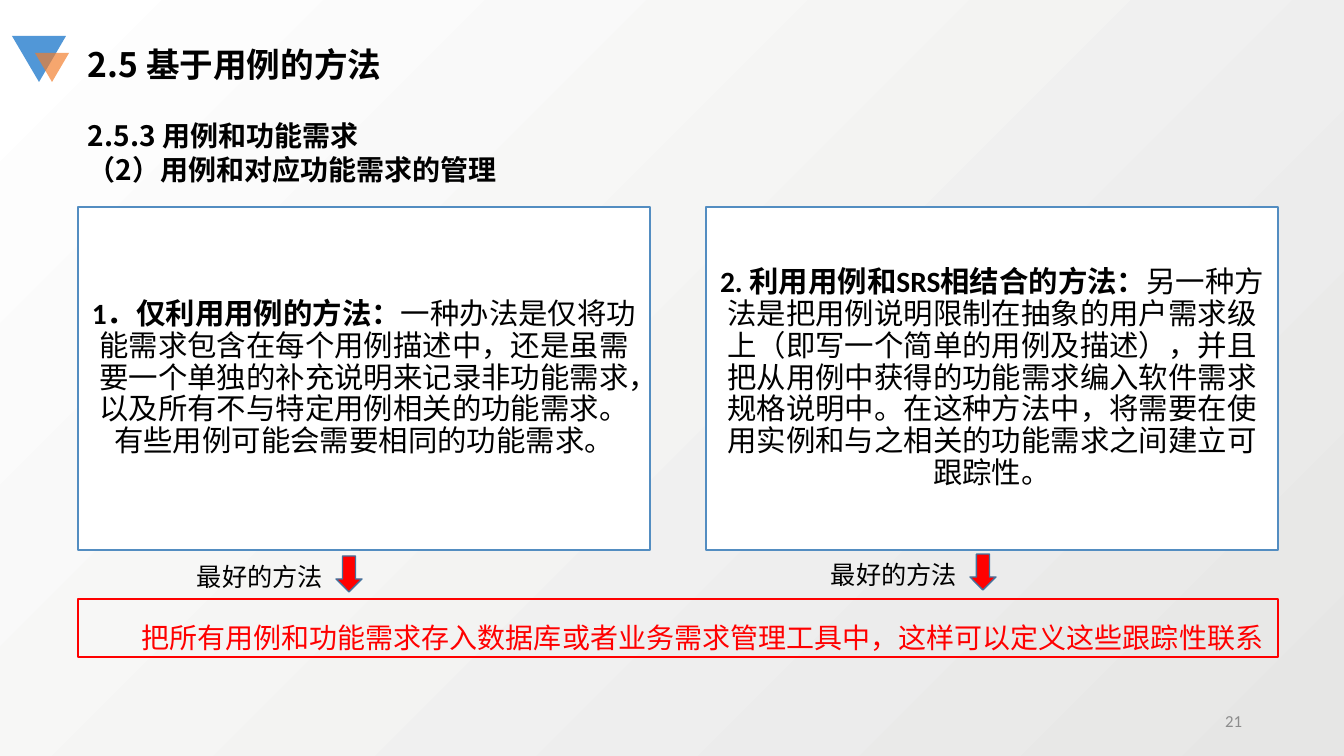
from lxml import etree
from pptx import Presentation
from pptx.dml.color import RGBColor
from pptx.enum.shapes import MSO_SHAPE
from pptx.enum.text import MSO_ANCHOR, PP_ALIGN
from pptx.oxml.ns import qn
from pptx.util import Inches, Pt

SCALE = Inches(1) / 100.8
CJK = "Noto Sans CJK SC"
TITLE = "2.5 基于用例的方法"
SUBTITLE = ["2.5.3 用例和功能需求", "（2）用例和对应功能需求的管理"]
METHODS = [
    ("1．仅利用用例的方法：",
     "一种办法是仅将功能需求包含在每个用例描述中，还是虽需要一个单独的补充说明来记录非功能需求，"
     "以及所有不与特定用例相关的功能需求。有些用例可能会需要相同的功能需求。"),
    ("2. 利用用例和SRS相结合的方法：",
     "另一种方法是把用例说明限制在抽象的用户需求级上（即写一个简单的用例及描述），"
     "并且把从用例中获得的功能需求编入软件需求规格说明中。"
     "在这种方法中，将需要在使用实例和与之相关的功能需求之间建立可跟踪性。"),
]
ARROWS = [(336, 556), (970, 554)]
ARROW_LABEL = "最好的方法"
CONCLUSION = "把所有用例和功能需求存入数据库或者业务需求管理工具中，这样可以定义这些跟踪性联系"
PAGE_NUMBER = "21"
TRIANGLES = [((12, 36, 54, 46), "5197D7", 100), ((35, 53, 34, 29), "F37D2A", 68)]

LEFT = 78
CARD_TOP, CARD_WIDTH, CARD_HEIGHT, CARD_GAP = 207, 572, 343, 56
LABEL_WIDTH = 149


def color(value):
    return RGBColor.from_string(value)


def emu(*lengths):
    return [round(length * SCALE) for length in lengths]


def style(span, size, font, ink, bold=False):
    span.font.size = Pt(size)
    span.font.name = font
    span.font.bold = bold
    span.font.color.rgb = color(ink)
    east_asian = etree.SubElement(span.font._element, qn("a:ea"))
    east_asian.set("typeface", CJK)


def add_text(page, place, lines, size, font, ink="000000", bold=False,
             align=PP_ALIGN.LEFT, anchor=MSO_ANCHOR.TOP, spacing=None):
    frame = page.shapes.add_textbox(*emu(*place)).text_frame
    frame.word_wrap = True
    frame.vertical_anchor = anchor
    frame.text = "\n".join(lines)
    for para in frame.paragraphs:
        para.alignment = align
        para.line_spacing = spacing
        for span in para.runs:
            style(span, size, font, ink, bold)


def add_figure(page, kind, place, fill=None, line=None, width=1):
    shape = page.shapes.add_shape(kind, *emu(*place))
    shape.shadow.inherit = False
    if fill:
        shape.fill.solid()
        shape.fill.fore_color.rgb = color(fill)
    else:
        shape.fill.background()
    if line:
        shape.line.color.rgb = color(line)
        shape.line.width = Pt(width)
    else:
        shape.line.fill.background()
    return shape


def add_triangle(page, place, fill, opacity):
    triangle = add_figure(page, MSO_SHAPE.ISOSCELES_TRIANGLE, place, fill)
    triangle.rotation = 180
    if opacity < 100:
        tone = triangle._element.spPr.find(qn("a:solidFill"))[0]
        etree.SubElement(tone, qn("a:alpha")).set("val", str(opacity * 1000))


def add_card(page, left, heading, body):
    place = (left, CARD_TOP, CARD_WIDTH, CARD_HEIGHT)
    card = add_figure(page, MSO_SHAPE.RECTANGLE, place, "FFFFFF", "538DC1", 1.5)
    frame = card.text_frame
    frame.word_wrap = True
    frame.vertical_anchor = MSO_ANCHOR.MIDDLE
    inset, = emu(9)
    frame.margin_left = frame.margin_right = inset
    frame.margin_top = frame.margin_bottom = inset
    para = frame.paragraphs[0]
    para.alignment = PP_ALIGN.CENTER
    para.line_spacing = 0.9
    for text, bold in ((heading, True), (body, False)):
        span = para.add_run()
        span.text = text
        style(span, 21, "Calibri", "000000", bold)


def main():
    deck = Presentation()
    deck.slide_width, deck.slide_height = emu(1344, 756)
    page = deck.slides.add_slide(deck.slide_layouts[6])

    backdrop = page.background.fill
    backdrop.gradient()
    backdrop.gradient_angle = 135
    for stop, tone in zip(backdrop.gradient_stops, ("E6E6E5", "FFFFFF")):
        stop.color.rgb = color(tone)

    add_text(page, (950, 701, 302, 40), [PAGE_NUMBER], 12, "Calibri", "8C8C8C",
             align=PP_ALIGN.RIGHT, anchor=MSO_ANCHOR.MIDDLE)
    for triangle in TRIANGLES:
        add_triangle(page, *triangle)
    add_text(page, (LEFT, 39, 338, 50), [TITLE], 24, CJK, bold=True)
    add_text(page, (LEFT, 114, 856, 78), SUBTITLE, 20, CJK, bold=True)

    for index, method in enumerate(METHODS):
        add_card(page, LEFT + index * (CARD_WIDTH + CARD_GAP), *method)
    for left, top in ARROWS:
        add_text(page, (left - LABEL_WIDTH, top, LABEL_WIDTH, 40), [ARROW_LABEL], 18, "Arial")
        add_figure(page, MSO_SHAPE.DOWN_ARROW, (left, top, 26, 36), "FF0000", "43739E")

    add_figure(page, MSO_SHAPE.RECTANGLE, (LEFT, 599, 1200, 58), line="FF0000", width=1.25)
    add_text(page, (127, 599, 1151, 55), [CONCLUSION], 20, "Arial", "FF0000",
             align=PP_ALIGN.CENTER, spacing=1.5)
    deck.save("out.pptx")


if __name__ == "__main__":
    main()
